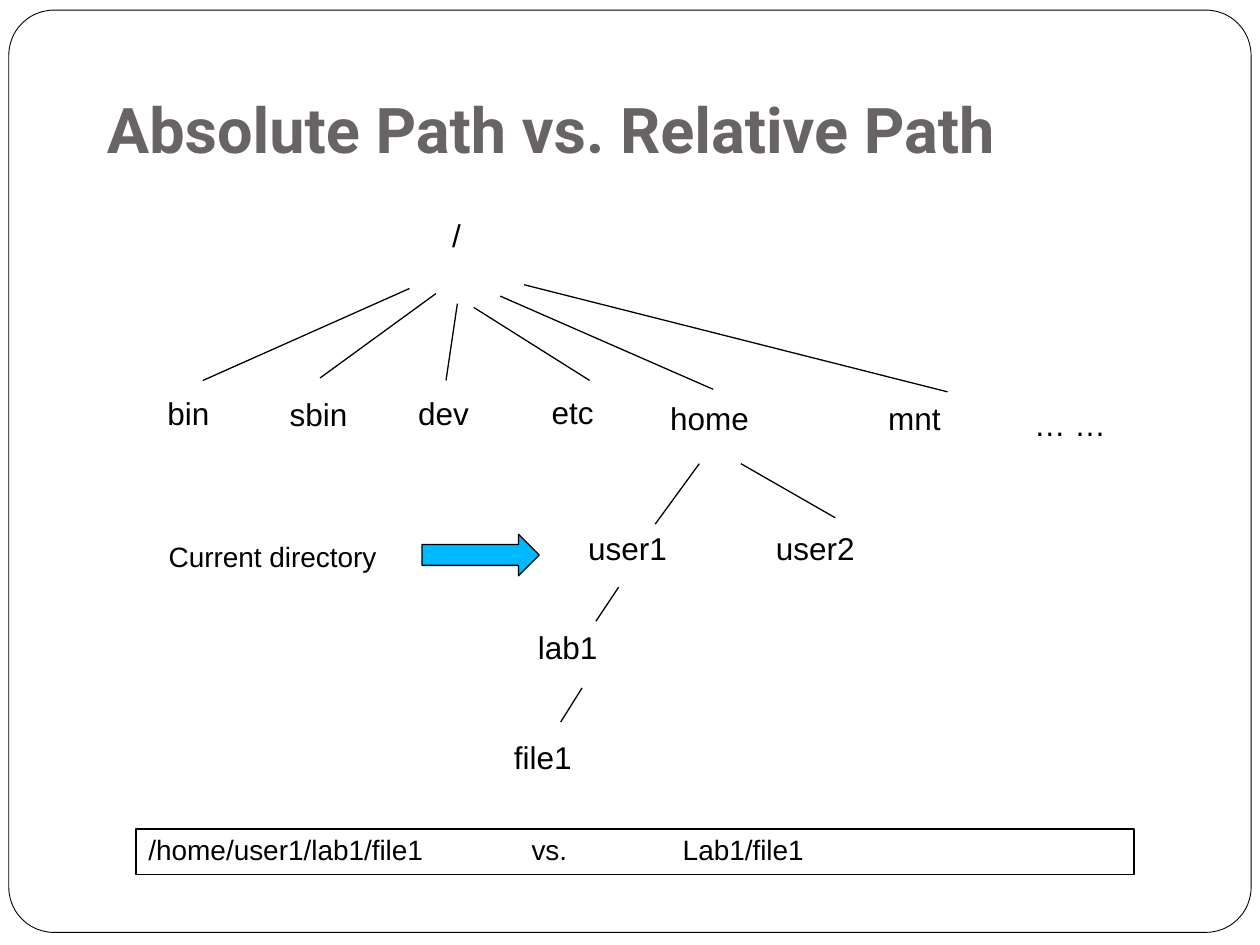
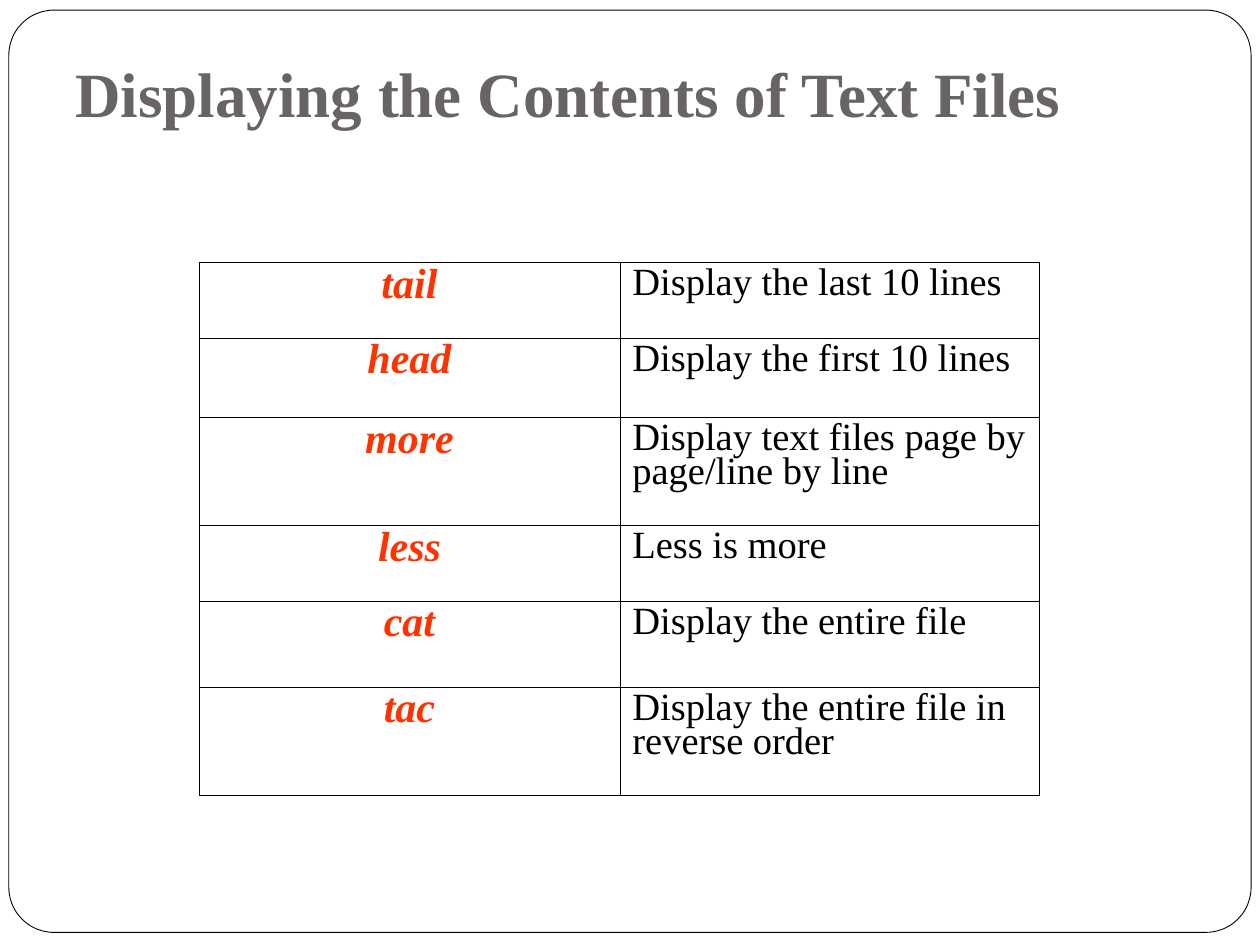
"""Builds two slides: a directory tree with two kinds of path, and a table of text file commands."""
from lxml.etree import SubElement
from pptx import Presentation
from pptx.dml.color import RGBColor
from pptx.enum.shapes import MSO_CONNECTOR, MSO_SHAPE
from pptx.enum.text import MSO_ANCHOR, PP_ALIGN
from pptx.oxml.ns import qn
from pptx.util import Inches, Pt

BLACK, WHITE, GREY, RED, BLUE = "000000", "FFFFFF", "696464", "FF3300", "00B8FF"

TITLE = {"size": Pt(36), "bold": True}
LABEL = {"size": Pt(18), "name": "Arial"}
NOTE = {"size": Pt(16), "name": "Arial"}
COMMAND = {"size": Pt(24), "name": "Times New Roman", "bold": True, "italic": True}
MEANING = {"size": Pt(22), "name": "Times New Roman", "bold": False, "italic": False}
TREE_SPACING = {"line_spacing": 0.95}
COMMAND_SPACING = {"alignment": PP_ALIGN.CENTER, "line_spacing": 0.8, "space_before": Pt(6)}
MEANING_SPACING = {"line_spacing": 0.8, "space_before": Pt(5.5)}

DIRECTORIES = [
    ("/", 3.49, 1.69, 0.39),
    ("bin", 1.23, 3.1, 0.75),
    ("sbin", 2.2, 3.11, 0.96),
    ("dev", 3.22, 3.1, 0.96),
    ("etc", 4.28, 3.09, 0.75),
    ("home", 5.22, 3.14, 1.18),
    ("mnt", 6.95, 3.14, 0.92),
    ("… …", 8.11, 3.19, 1),
    ("user1", 4.57, 4.17, 1.12),
    ("user2", 6.06, 4.17, 1.12),
    ("lab1", 4.17, 4.96, 1.12),
    ("file1", 3.98, 5.83, 1.12),
]
BRANCHES = [
    (3.25, 2.29, 1.61, 3.02),
    (3.46, 2.33, 2.54, 3),
    (3.63, 2.41, 3.54, 3.02),
    (3.76, 2.44, 4.68, 3.02),
    (3.97, 2.35, 5.66, 3.09),
    (4.16, 2.26, 7.52, 3.11),
    (5.55, 3.68, 5.2, 4.16),
    (5.88, 3.68, 6.63, 4.11),
    (4.91, 4.66, 4.73, 4.93),
    (4.62, 5.46, 4.45, 5.73),
]
PATHS = ["/home/user1/lab1/file1", "vs.", "Lab1/file1"]
PATH_TABS = [3.04, 4.24]

COMMANDS = [
    ("tail", "Display the last 10 lines", 0.6),
    ("head", "Display the first 10 lines", 0.63),
    ("more", "Display text files page by page/line by line", 0.86),
    ("less", "Less is more", 0.6),
    ("cat", "Display the entire file", 0.68),
    ("tac", "Display the entire file in reverse order", 0.86),
]
COLUMN_WIDTHS = [3.34, 3.33]


def color(code):
    return RGBColor.from_string(code)


def apply(target, values):
    for name, value in values.items():
        setattr(target, name, value)


def write(frame, text, font, ink=BLACK, spacing=None):
    frame.word_wrap = True
    para = frame.paragraphs[0]
    apply(para, {"alignment": PP_ALIGN.LEFT, **(spacing or {})})
    span = para.add_run()
    span.text = text
    apply(span.font, font)
    span.font.color.rgb = color(ink)
    return para


def add_text(page, place, text, font, ink=BLACK, spacing=None):
    box = page.shapes.add_textbox(*map(Inches, place))
    write(box.text_frame, text, font, ink, spacing)
    return box


def add_outlined(page, kind, place, fill, weight=0.75):
    shape = page.shapes.add_shape(kind, *map(Inches, place))
    shape.shadow.inherit = False
    if fill:
        shape.fill.solid()
        shape.fill.fore_color.rgb = color(fill)
    else:
        shape.fill.background()
    shape.line.color.rgb = color(BLACK)
    shape.line.width = Pt(weight)
    return shape


def add_branch(page, ends):
    branch = page.shapes.add_connector(MSO_CONNECTOR.STRAIGHT, *map(Inches, ends))
    branch.line.color.rgb = color(BLACK)
    branch.line.width = Pt(0.75)
    SubElement(branch.element.spPr, qn("a:effectLst"))


def add_page(deck, title, place, typeface):
    page = deck.slides.add_slide(deck.slide_layouts[6])
    border = add_outlined(page, MSO_SHAPE.ROUNDED_RECTANGLE, (0.07, 0.08, 9.86, 7.32), WHITE, 0.5)
    border.adjustments[0] = 0.049
    heading = add_text(page, place, title, {**TITLE, "name": typeface}, GREY)
    apply(heading.text_frame, {"vertical_anchor": MSO_ANCHOR.BOTTOM, "margin_bottom": Inches(0.1)})
    return page


def add_tab_stops(para, positions):
    stops = SubElement(para._p.get_or_add_pPr(), qn("a:tabLst"))
    for position in positions:
        SubElement(stops, qn("a:tab"), pos=str(Inches(position)), algn="l")


def set_borders(cell, weight):
    properties = cell._tc.get_or_add_tcPr()
    for side in ("lnL", "lnR", "lnT", "lnB"):
        edge = SubElement(properties, qn(f"a:{side}"), w=str(Pt(weight)))
        SubElement(SubElement(edge, qn("a:solidFill")), qn("a:srgbClr"), val=BLACK)


def build_tree(deck):
    page = add_page(deck, "Absolute Path vs. Relative Path", (0.75, 0.67, 8.49, 0.75), "Roboto")
    for ends in BRANCHES:
        add_branch(page, ends)
    for name, left, top, width in DIRECTORIES:
        add_text(page, (left, top, width, 0.39), name, LABEL, spacing=TREE_SPACING)
    add_outlined(page, MSO_SHAPE.RIGHT_ARROW, (3.35, 4.24, 0.93, 0.33), BLUE)
    add_text(page, (1.24, 4.25, 1.92, 0.36), "Current directory", NOTE, spacing=TREE_SPACING)
    bar = add_outlined(page, MSO_SHAPE.RECTANGLE, (1.08, 6.58, 7.92, 0.36), None)
    bar.text_frame.vertical_anchor = MSO_ANCHOR.TOP
    add_tab_stops(write(bar.text_frame, "\t".join(PATHS), NOTE, spacing=TREE_SPACING), PATH_TABS)


def build_commands(deck):
    page = add_page(deck, "Displaying the Contents of Text Files", (0.5, 0.3, 9, 0.83), "Times New Roman")
    height = sum(row[2] for row in COMMANDS)
    place = (1.58, 2.08, sum(COLUMN_WIDTHS), height)
    table = page.shapes.add_table(len(COMMANDS), len(COLUMN_WIDTHS), *map(Inches, place)).table
    apply(table, {"first_row": False, "horz_banding": False})
    for column, width in zip(table.columns, COLUMN_WIDTHS):
        column.width = Inches(width)
    for row, (command, meaning, row_height) in zip(table.rows, COMMANDS):
        row.height = Inches(row_height)
        name_cell, meaning_cell = row.cells
        write(name_cell.text_frame, command, COMMAND, RED, COMMAND_SPACING)
        write(meaning_cell.text_frame, meaning, MEANING, BLACK, MEANING_SPACING)
        for cell in (name_cell, meaning_cell):
            set_borders(cell, 0.06)
            cell.fill.background()


def main():
    deck = Presentation()
    apply(deck, {"slide_width": Inches(10), "slide_height": Inches(7.5)})
    build_tree(deck)
    build_commands(deck)
    deck.save("out.pptx")


if __name__ == "__main__":
    main()
